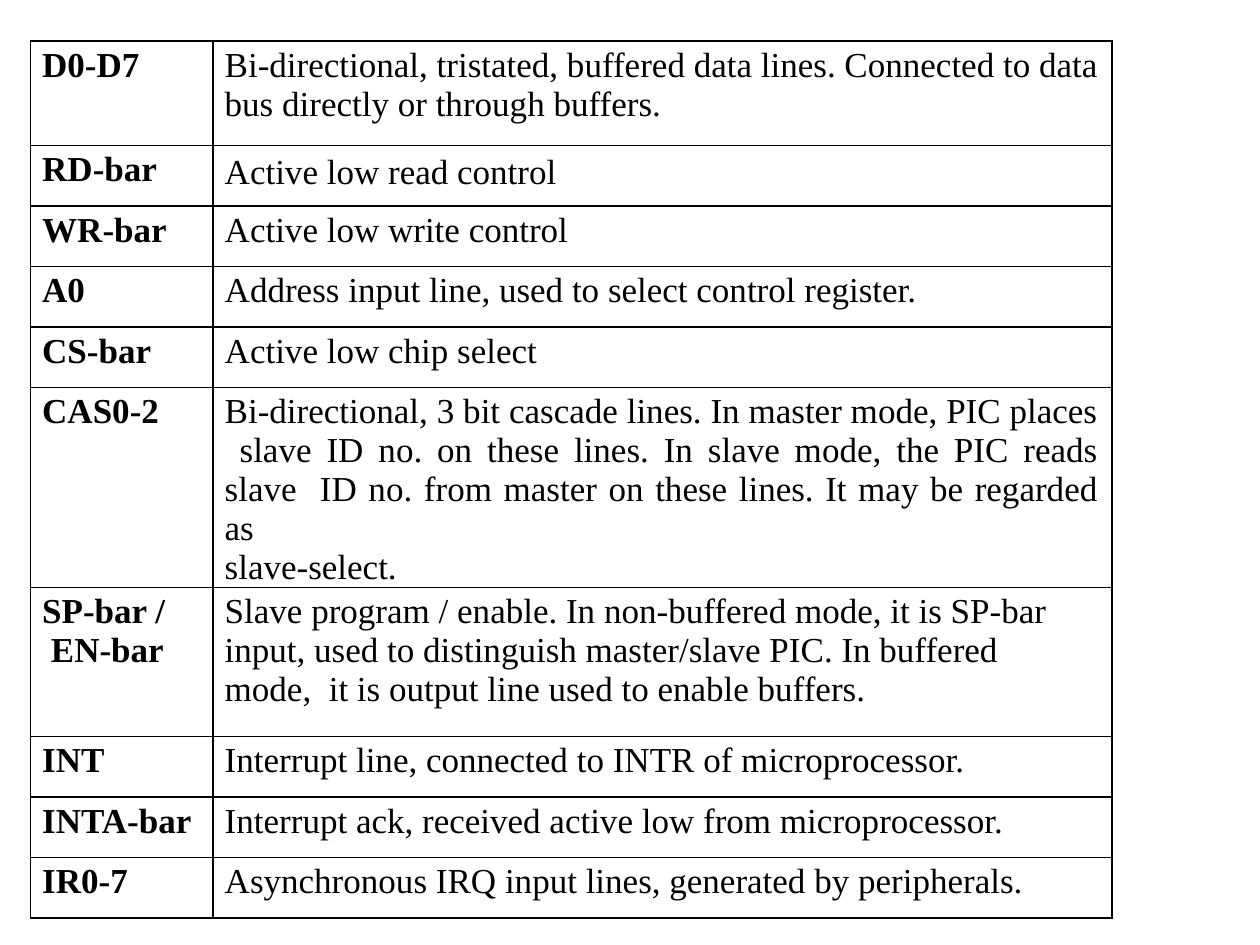
from lxml.etree import SubElement
from pptx import Presentation
from pptx.dml.color import RGBColor
from pptx.enum.text import PP_ALIGN
from pptx.oxml.ns import qn
from pptx.util import Cm, Pt

BLACK = RGBColor(0, 0, 0)
LINE_HEIGHT = 1.22

PINS = [
    ("D0-D7", "Bi-directional, tristated, buffered data lines. Connected to data\n"
              "bus directly or through buffers.", 2.1),
    ("RD-bar", "Active low read control", LINE_HEIGHT),
    ("WR-bar", "Active low write control", LINE_HEIGHT),
    ("A0", "Address input line, used to select control register.", LINE_HEIGHT),
    ("CS-bar", "Active low chip select", LINE_HEIGHT),
    ("CAS0-2", "Bi-directional, 3 bit cascade lines. In master mode, PIC places\v"
               " slave ID no. on these lines. In slave mode, the PIC reads "
               "slave  ID no. from master on these lines. It may be regarded as\n"
               "slave-select.", 4.03),
    ("SP-bar /\v EN-bar", "Slave program / enable. In non-buffered mode, it is SP-bar "
                          "input, used to distinguish master/slave PIC. In buffered "
                          "mode,  it is output line used to enable buffers.", 3.01),
    ("INT", "Interrupt line, connected to INTR of microprocessor.", LINE_HEIGHT),
    ("INTA-bar", "Interrupt ack, received active low from microprocessor.", LINE_HEIGHT),
    ("IR0-7", "Asynchronous IRQ input lines, generated by peripherals.", LINE_HEIGHT),
]
COLUMN_WIDTHS = [3.68, 18.13]
TABLE_LEFT, TABLE_TOP = 0.61, 0.83

CELL_FORMAT = {"margin_left": Cm(0.24), "margin_right": Cm(0),
               "margin_top": Cm(0.1), "margin_bottom": Cm(0)}
DESCRIPTION_FORMATS = {
    "RD-bar": {"margin_top": Cm(0.15)},
    "CAS0-2": {"margin_right": Cm(0.28)},
    "SP-bar /\v EN-bar": {"margin_right": Cm(0.8)},
}
FONT_FORMAT = {"name": "Times New Roman", "size": Pt(20)}


def apply_format(target, values):
    for name, value in values.items():
        setattr(target, name, value)


def add_borders(cell):
    properties = cell._tc.get_or_add_tcPr()
    for position, side in enumerate(("a:lnL", "a:lnR", "a:lnT", "a:lnB")):
        border = SubElement(properties, qn(side), w=str(Pt(1)))
        fill = SubElement(border, qn("a:solidFill"))
        SubElement(fill, qn("a:srgbClr"), val=str(BLACK))
        properties.insert(position, border)


def write_cell(cell, text, bold, cell_format):
    apply_format(cell, cell_format)
    cell.fill.background()
    add_borders(cell)
    cell.text_frame.text = text
    for paragraph in cell.text_frame.paragraphs:
        for run in paragraph.runs:
            apply_format(run.font, {**FONT_FORMAT, "bold": bold})
            run.font.color.rgb = BLACK


def main():
    presentation = Presentation()
    presentation.slide_width, presentation.slide_height = Cm(25.4), Cm(19.05)
    slide = presentation.slides.add_slide(presentation.slide_layouts[6])

    pin_table = slide.shapes.add_table(
        len(PINS), len(COLUMN_WIDTHS), Cm(TABLE_LEFT), Cm(TABLE_TOP),
        Cm(sum(COLUMN_WIDTHS)), Cm(sum(height for _, _, height in PINS))).table
    apply_format(pin_table, {"first_row": False, "horz_banding": False})
    for column, width in zip(pin_table.columns, COLUMN_WIDTHS):
        column.width = Cm(width)

    for row, (pin, description, height) in zip(pin_table.rows, PINS):
        row.height = Cm(height)
        pin_cell, description_cell = row.cells
        write_cell(pin_cell, pin, True, CELL_FORMAT)
        write_cell(description_cell, description, False,
                   {**CELL_FORMAT, **DESCRIPTION_FORMATS.get(pin, {})})
        if pin == "CAS0-2":
            description_cell.text_frame.paragraphs[0].alignment = PP_ALIGN.JUSTIFY

    presentation.save("out.pptx")


if __name__ == "__main__":
    main()
